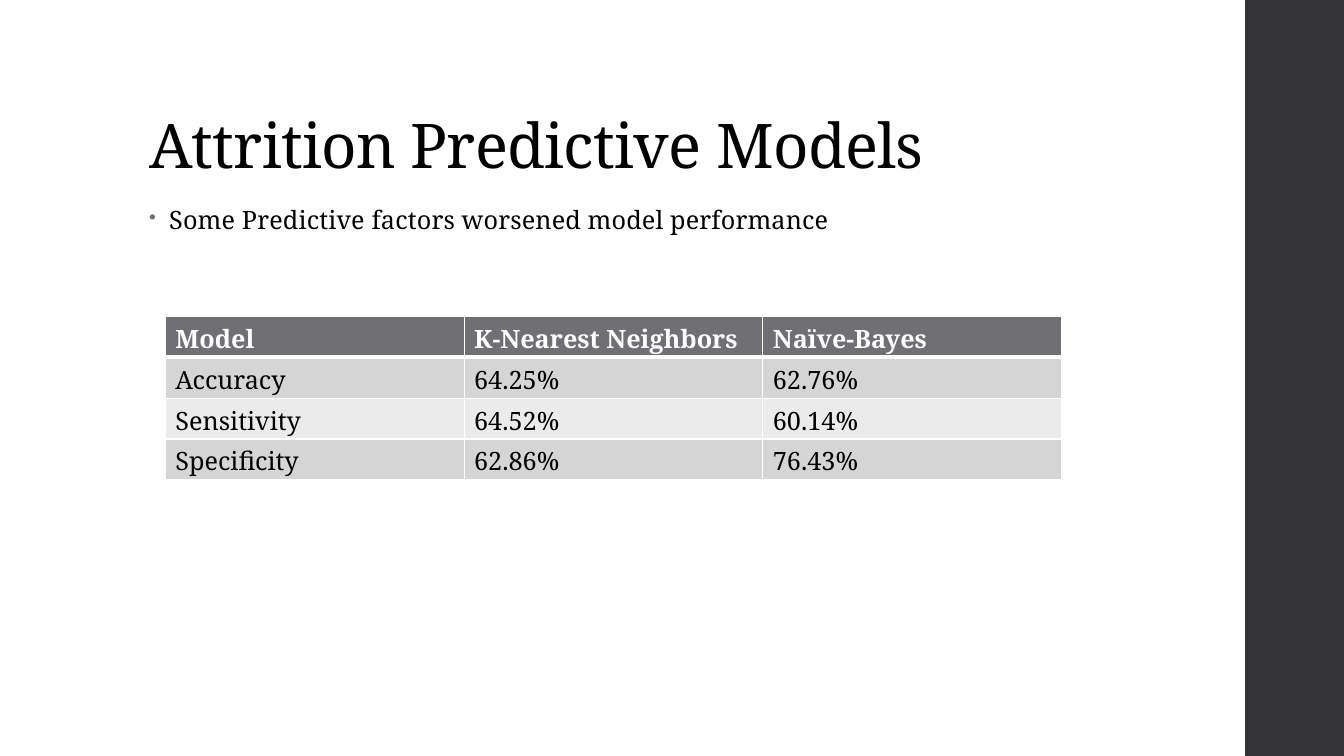
from lxml.etree import SubElement
from pptx import Presentation
from pptx.dml.color import RGBColor
from pptx.enum.shapes import MSO_SHAPE as Preset
from pptx.enum.text import MSO_ANCHOR as Anchor
from pptx.oxml.ns import qn
from pptx.util import Inches, Pt

COLORS = {
    "sidebar": "353537",
    "text": "000000",
    "white": "FFFFFF",
    "accent": "6F6F74",
    "band_dark": "D5D5D6",
    "band_light": "EBEBEB",
}
FONT = "Noto Serif"
MODEL_SCORES = [
    ("Model", "K-Nearest Neighbors", "Naïve-Bayes"),
    ("Accuracy", "64.25%", "62.76%"),
    ("Sensitivity", "64.52%", "60.14%"),
    ("Specificity", "62.86%", "76.43%"),
]


def color(key):
    """Return the named colour."""
    return RGBColor.from_string(COLORS[key])


def apply(target, formats):
    """Set every attribute in the format dict on the target."""
    for attribute, value in formats.items():
        setattr(target, attribute, value)


def write(paragraph, text, size, ink="text", bold=False, spacing=None):
    """Put one formatted run into a paragraph."""
    run = paragraph.add_run()
    run.text = text
    apply(run.font, {"name": FONT, "size": Pt(size), "bold": bold})
    run.font.color.rgb = color(ink)
    if spacing is not None:
        run.font._element.set("spc", str(spacing))


def add_sidebar(slide, left, top, width, height):
    """Add the dark strip at the right edge."""
    sidebar = slide.shapes.add_shape(Preset.RECTANGLE, *map(Inches, (left, top, width, height)))
    sidebar.shadow.inherit = False
    sidebar.fill.solid()
    sidebar.fill.fore_color.rgb = color("sidebar")
    sidebar.line.fill.background()


def add_text(slide, box, text, anchor, paragraph_format, **run_format):
    """Add a wrapped text box and return its paragraph."""
    frame = slide.shapes.add_textbox(*map(Inches, box)).text_frame
    apply(frame, {"word_wrap": True, "vertical_anchor": anchor})
    paragraph = frame.paragraphs[0]
    apply(paragraph, paragraph_format)
    write(paragraph, text, **run_format)
    return paragraph


def add_bullet(paragraph, indent):
    """Give a paragraph a small hanging bullet."""
    properties = paragraph._p.get_or_add_pPr()
    properties.set("marL", str(Inches(indent)))
    properties.set("indent", str(-Inches(indent)))
    bullet_color = SubElement(properties, qn("a:buClr"))
    SubElement(bullet_color, qn("a:srgbClr"), val=COLORS["accent"])
    SubElement(properties, qn("a:buSzPct"), val="80000")
    SubElement(properties, qn("a:buChar"), char="•")


def add_borders(cell, widths):
    """Draw white cell borders with the given point widths."""
    properties = cell._tc.get_or_add_tcPr()
    for side, width in widths.items():
        border = SubElement(properties, qn(f"a:{side}"), w=str(Pt(width)))
        fill = SubElement(border, qn("a:solidFill"))
        SubElement(fill, qn("a:srgbClr"), val=COLORS["white"])


def add_score_table(slide, left, top, width, height):
    """Add the model comparison with a header and banded rows."""
    scores = slide.shapes.add_table(
        len(MODEL_SCORES), len(MODEL_SCORES[0]), *map(Inches, (left, top, width, height))
    ).table
    for row, values in enumerate(MODEL_SCORES):
        header = row == 0
        band = "accent" if header else "band_dark" if row % 2 else "band_light"
        widths = {"lnL": 1, "lnR": 1, "lnT": 3 if row == 1 else 1, "lnB": 3 if header else 1}
        for column, value in enumerate(values):
            cell = scores.cell(row, column)
            add_borders(cell, widths)
            cell.fill.solid()
            cell.fill.fore_color.rgb = color(band)
            write(cell.text_frame.paragraphs[0], value, 18,
                  "white" if header else "text", header)


def main():
    """Build and save the slide."""
    deck = Presentation()
    apply(deck, {"slide_width": Inches(13.33), "slide_height": Inches(7.5)})
    slide = deck.slides.add_slide(deck.slide_layouts[6])
    add_sidebar(slide, 12.35, 0, 1, 7.5)
    add_text(slide, (1.38, 0.4, 10.6, 1.45), "Attrition Predictive Models",
             Anchor.BOTTOM, {"line_spacing": 0.9}, size=44, spacing=-50)
    finding = add_text(
        slide, (1.38, 2, 9.4, 4.76), "Some Predictive factors worsened model performance",
        Anchor.TOP, {"line_spacing": 0.95, "space_before": Pt(14), "space_after": Pt(2)},
        size=18, spacing=10)
    add_bullet(finding, 0.2)
    add_score_table(slide, 1.64, 3.14, 8.89, 1.62)
    deck.save("out.pptx")


main()
